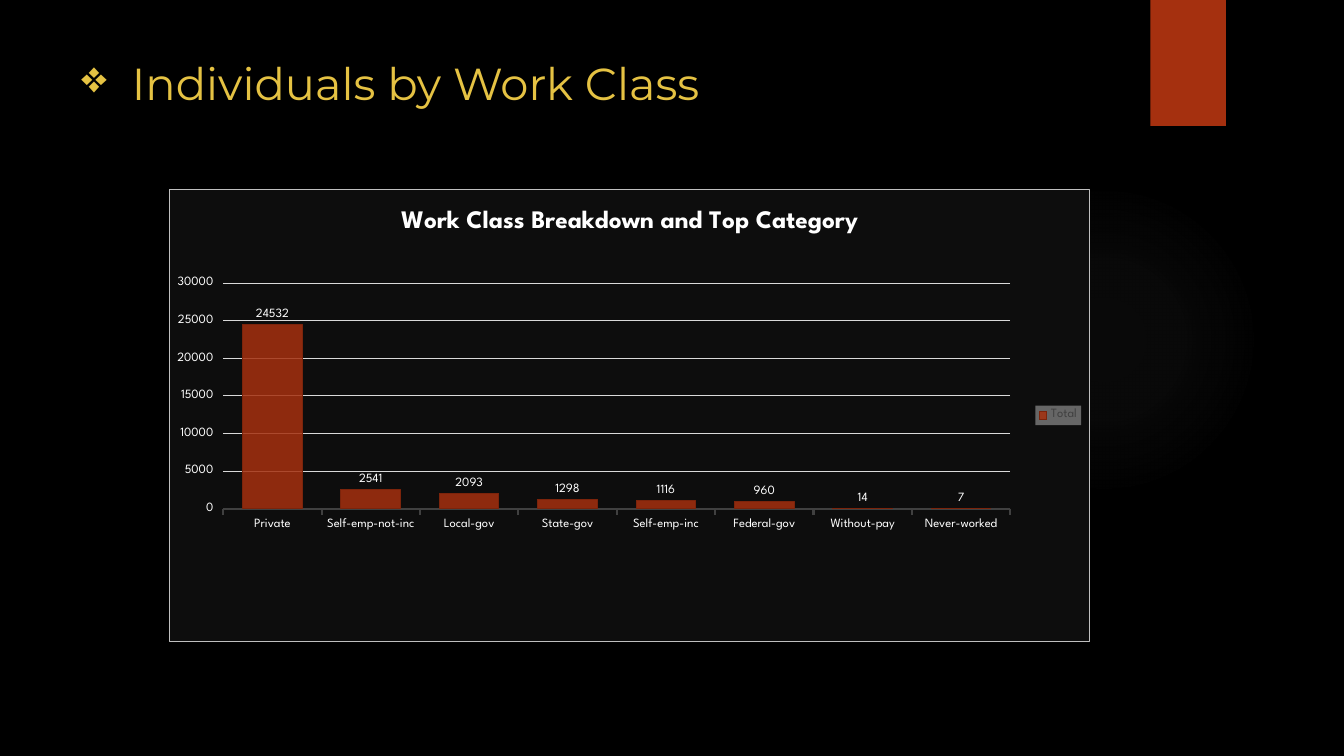
"""Build the slide on individuals by work class."""
from lxml.etree import SubElement
from pptx import Presentation
from pptx.chart.data import CategoryChartData
from pptx.dml.color import RGBColor
from pptx.enum.chart import XL_CHART_TYPE, XL_LABEL_POSITION, XL_LEGEND_POSITION, XL_TICK_MARK
from pptx.enum.shapes import MSO_SHAPE
from pptx.enum.text import MSO_ANCHOR
from pptx.oxml import parse_xml
from pptx.oxml.ns import nsdecls, qn
from pptx.util import Inches, Pt

BLACK = RGBColor(0x00, 0x00, 0x00)
WHITE = RGBColor(0xFF, 0xFF, 0xFF)
GOLD = RGBColor(0xE5, 0xC2, 0x43)
RUST = RGBColor(0xA5, 0x30, 0x0F)
DARK_RUST = RGBColor(0x7C, 0x24, 0x0B)
PANEL = RGBColor(0x0D, 0x0D, 0x0D)
PANEL_EDGE = RGBColor(0xBF, 0xBF, 0xBF)
GRID = RGBColor(0xD9, 0xD9, 0xD9)
CHARCOAL = RGBColor(0x40, 0x40, 0x40)
LEGEND_GRAY = RGBColor(0x66, 0x66, 0x66)
GLOW = RGBColor(0x84, 0x84, 0x84)

WORK_CLASSES = {
    "Private": 24532,
    "Self-emp-not-inc": 2541,
    "Local-gov": 2093,
    "State-gov": 1298,
    "Self-emp-inc": 1116,
    "Federal-gov": 960,
    "Without-pay": 14,
    "Never-worked": 7,
}


def style_font(font, size, color, name="League Spartan", bold=False):
    font.size = Pt(size)
    font.name = name
    font.bold = bold
    font.color.rgb = color


def area_format(fill, border=""):
    return parse_xml(
        f'<c:spPr {nsdecls("c", "a")}><a:solidFill><a:srgbClr val="{fill}"/></a:solidFill>'
        f"{border}</c:spPr>"
    )


deck = Presentation()
deck.slide_width, deck.slide_height = Inches(13.33), Inches(7.5)
page = deck.slides.add_slide(deck.slide_layouts[6])
page.background.fill.solid()
page.background.fill.fore_color.rgb = BLACK

glow = page.shapes.add_shape(
    MSO_SHAPE.OVAL, Inches(9.41), Inches(1.83), Inches(3.08), Inches(3.08)
)
glow.shadow.inherit = False
glow.line.fill.background()
stops = "".join(
    f'<a:gs pos="{position * 1000}"><a:srgbClr val="{GLOW}">'
    f'<a:alpha val="{alpha * 1000}"/></a:srgbClr></a:gs>'
    for position, alpha in ((0, 7), (36, 6), (69, 0), (100, 0))
)
glow_fill = parse_xml(
    f'<a:gradFill {nsdecls("a")}><a:gsLst>{stops}</a:gsLst><a:path path="circle">'
    '<a:fillToRect l="50000" t="50000" r="50000" b="50000"/></a:path></a:gradFill>'
)
glow._element.spPr.find(qn("a:prstGeom")).addnext(glow_fill)

ribbon = page.shapes.add_shape(
    MSO_SHAPE.RECTANGLE, Inches(11.41), Inches(0), Inches(0.75), Inches(1.25)
)
ribbon.shadow.inherit = False
ribbon.fill.solid()
ribbon.fill.fore_color.rgb = RUST
ribbon.line.fill.background()

heading = page.shapes.add_textbox(Inches(0.71), Inches(0.5), Inches(10.29), Inches(1.53))
heading.text_frame.word_wrap = True
heading.text_frame.vertical_anchor = MSO_ANCHOR.TOP
heading.text_frame.text = "Individuals by Work Class"
para = heading.text_frame.paragraphs[0]
style_font(para.runs[0].font, 32, GOLD, "Montserrat")
para_format = para._p.get_or_add_pPr()
para_format.set("marL", str(Inches(0.5)))
para_format.set("indent", str(-Inches(0.5)))
SubElement(para_format, qn("a:buChar")).set("char", "❖")

data = CategoryChartData()
data.categories = list(WORK_CLASSES)
data.add_series("Total", list(WORK_CLASSES.values()))
chart = page.shapes.add_chart(
    XL_CHART_TYPE.COLUMN_CLUSTERED,
    Inches(1.68), Inches(1.87), Inches(9.13), Inches(4.5), data,
).chart
style_font(chart.font, 10, WHITE)
border = (
    f'<a:ln w="{Pt(0.75)}"><a:solidFill><a:srgbClr val="{PANEL_EDGE}"/></a:solidFill></a:ln>'
)
chart._chartSpace.find(qn("c:chart")).addnext(area_format(PANEL, border))

chart.has_title = True
chart.chart_title.include_in_layout = False
chart.chart_title.text_frame.text = "Work Class Breakdown and Top Category"
style_font(chart.chart_title.text_frame.paragraphs[0].runs[0].font, 18, WHITE, bold=True)

plot_area = chart._chartSpace.find(".//" + qn("c:plotArea"))
for old_layout in plot_area.findall(qn("c:layout")):
    plot_area.remove(old_layout)
plot_area.insert(0, parse_xml(
    f'<c:layout {nsdecls("c")}><c:manualLayout><c:layoutTarget val="inner"/>'
    '<c:xMode val="edge"/><c:yMode val="edge"/><c:x val="0.058"/><c:y val="0.208"/>'
    '<c:w val="0.856"/><c:h val="0.499"/></c:manualLayout></c:layout>'
))

for axis in (chart.category_axis, chart.value_axis):
    style_font(axis.tick_labels.font, 9, WHITE)
    axis.major_tick_mark = XL_TICK_MARK.OUTSIDE
chart.category_axis.format.line.color.rgb = CHARCOAL
chart.category_axis.format.line.width = Pt(1.5)
value_axis = chart.value_axis
value_axis.minimum_scale, value_axis.maximum_scale = 0, 30000
value_axis.major_unit = 5000
value_axis.format.line.fill.background()
value_axis.major_gridlines.format.line.color.rgb = GRID
value_axis.major_gridlines.format.line.width = Pt(0.75)

plot = chart.plots[0]
plot.gap_width = 65
plot.vary_by_categories = False
total = plot.series[0]
total.format.fill.solid()
total.format.fill.fore_color.rgb = RUST
bar_color = total.format.fill._xPr.find(".//" + qn("a:srgbClr"))
SubElement(bar_color, qn("a:alpha")).set("val", "85000")
total.format.line.color.rgb = DARK_RUST
total.format.line.width = Pt(0.75)
labels = total.data_labels
labels.show_value = True
labels.position = XL_LABEL_POSITION.OUTSIDE_END
style_font(labels.font, 9, WHITE)

chart.has_legend = True
chart.legend.position = XL_LEGEND_POSITION.RIGHT
chart.legend.include_in_layout = False
style_font(chart.legend.font, 9, CHARCOAL)
chart.legend._element.find(qn("c:overlay")).addnext(area_format(LEGEND_GRAY))

deck.save("out.pptx")
